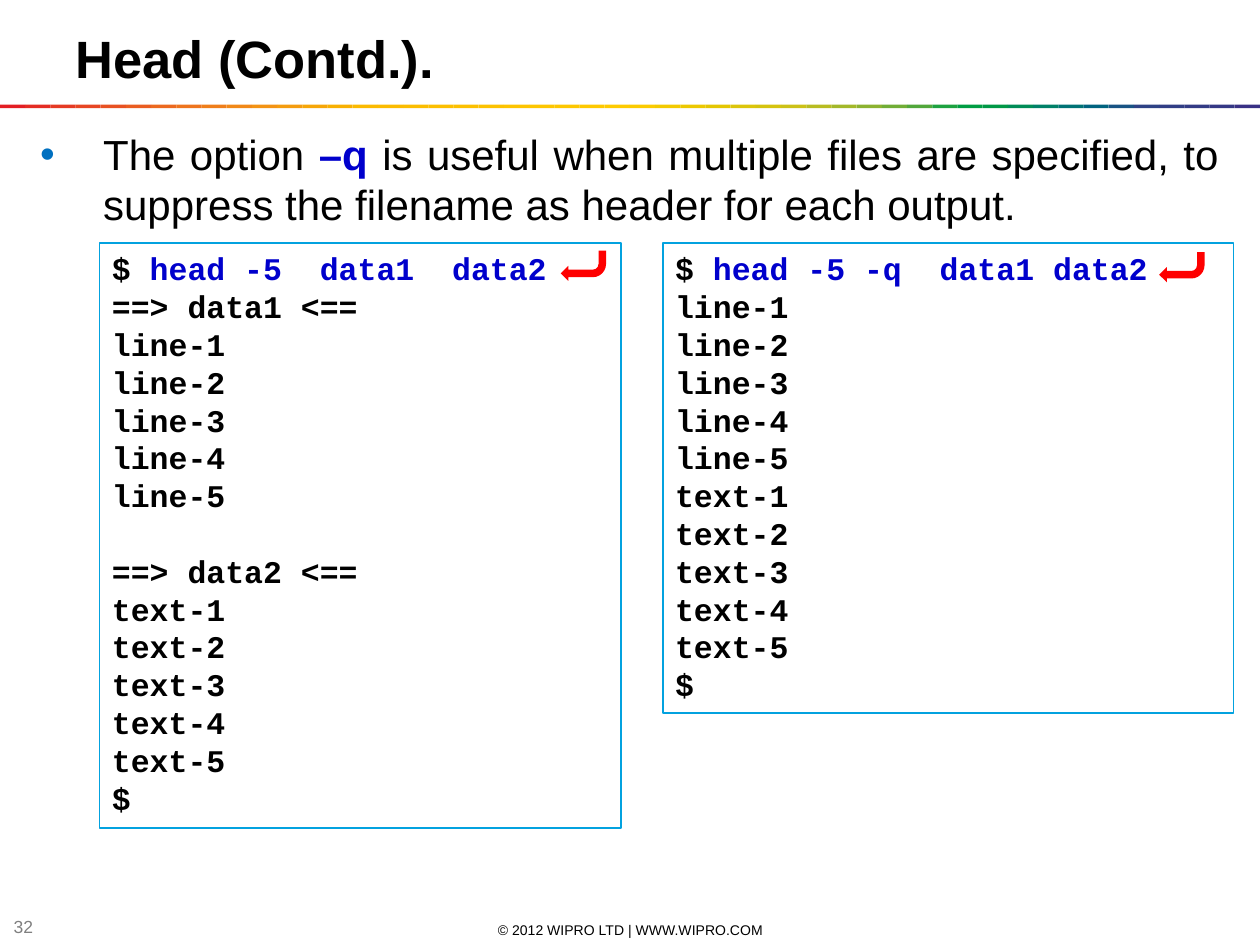
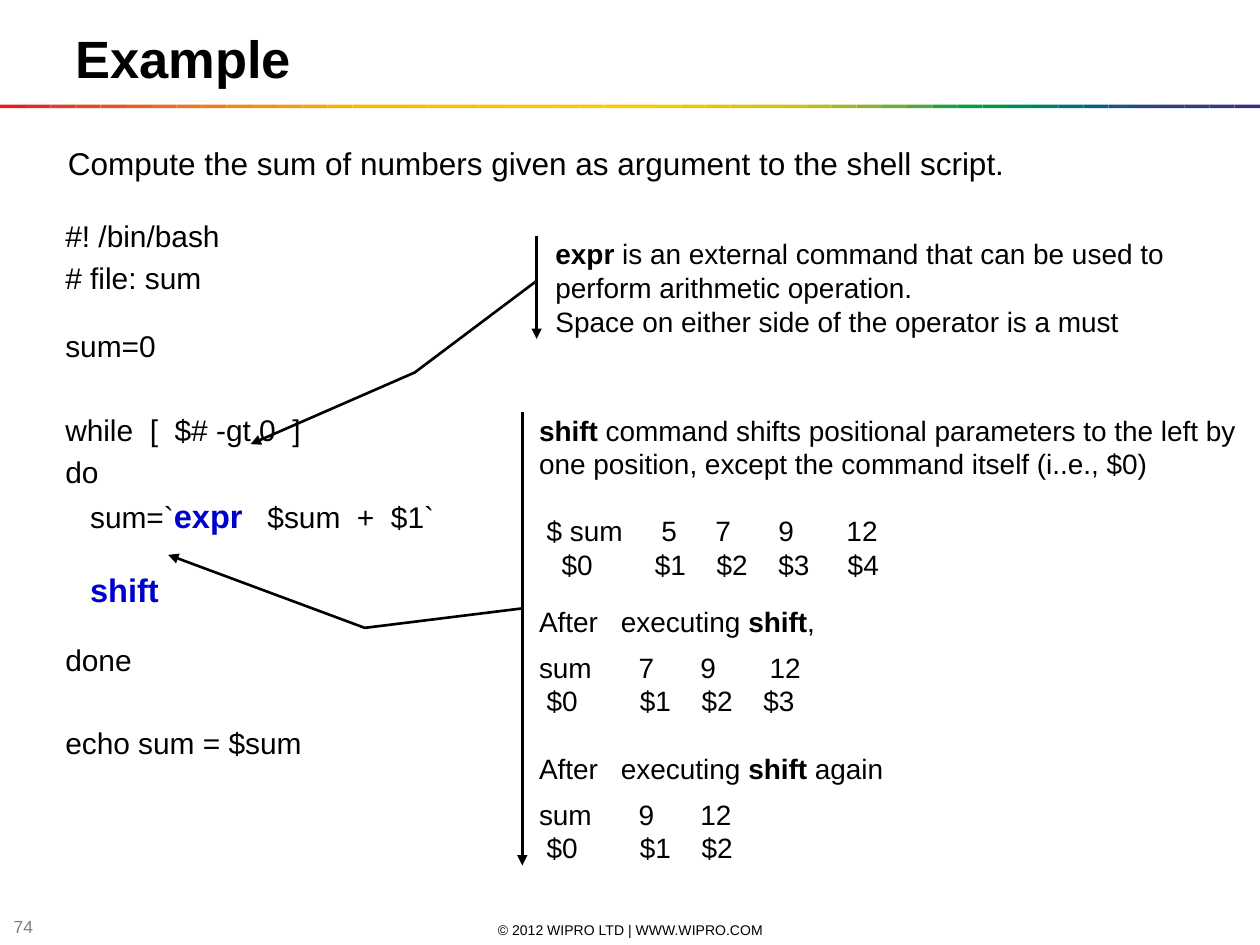
from lxml import etree
from pptx import Presentation
from pptx.dml.color import RGBColor
from pptx.enum.shapes import MSO_SHAPE
from pptx.enum.text import MSO_ANCHOR, PP_ALIGN
from pptx.oxml.ns import qn
from pptx.util import Inches, Pt

RECTANGLE, BENT_ARROW = MSO_SHAPE.RECTANGLE, MSO_SHAPE.BENT_ARROW
ACCENT_CALLOUT = MSO_SHAPE.LINE_CALLOUT_2_ACCENT_BAR
TOP, MIDDLE = MSO_ANCHOR.TOP, MSO_ANCHOR.MIDDLE
LEFT, CENTER, JUSTIFY = PP_ALIGN.LEFT, PP_ALIGN.CENTER, PP_ALIGN.JUSTIFY

# Shared look
COLORS = {"text": "000000", "key": "0000CC", "number": "808080", "bullet": "0070C0",
          "frame": "03A2DF", "arrow": "FE0000", "paper": "FFFFFF"}
BAND_COLORS = """
    E31E24 E42C24 E53A24 E74623 E85122 EA5D21 EC691F EE741D EF7E1A F18817
    F39314 F49C0F F6A607 F8B002 FBBA00 FBBB00 FBBD00 FCBF00 FCC000 FCC200
    FDC400 FDC600 FDC700 FEC900 FECB00 FBCB00 F3CA00 ECC800 E4C602 DCC50A
    D5C30E CCC117 B8BC21 A3B829 8CB230 71AD36 51A73B 1DA240 009D43 009846
    008C57 008068 007275 00637F 185384 2E4285 313E85 333B85 353885 393185
""".split()
RUN_STYLES = {
    "plain": {"color": "text", "bold": False},
    "bold": {"color": "text", "bold": True},
    "key": {"color": "key", "bold": True},
    "number": {"color": "number", "bold": False},
}
FOOTER = "© 2012 WIPRO LTD | WWW.WIPRO.COM"
LINE_FACTOR = 1.2

# Slide 1 content: a paragraph is (runs, format values), a run is (text, style)
HEAD_POINT = [(
    [("The option ", "plain"), ("–q ", "key"),
     ("is useful when multiple files are specified, to suppress the filename "
      "as header for each output.", "plain")],
    {"align": JUSTIFY, "bullet": "•", "indent": 0.5})]
LINES = [f"line-{number}" for number in range(1, 6)]
TEXTS = [f"text-{number}" for number in range(1, 6)]
TERMINALS = [
    {"left": 0.79, "width": 4.14, "arrow": (4.45, 1.99),
     "command": "head -5  data1  data2",
     "blocks": [["==> data1 <==", *LINES], ["==> data2 <==", *TEXTS, "$"]]},
    {"left": 5.26, "width": 4.53, "arrow": (9.2, 2.0),
     "command": "head -5 -q  data1 data2",
     "blocks": [[*LINES, *TEXTS, "$"]]},
]
TERMINAL_TOP, TERMINAL_SIZE, TERMINAL_LINE = 1.93, 18, 0.3027

# Slide 2 content
INTRO = "Compute the sum of numbers given as argument to the shell script."
STEP, HALF_GAP, GAP = 3.4, 18.5, 27.4
SCRIPT = [
    ("#! /bin/bash", {}),
    ("# file: sum", {"before": STEP}),
    ("sum=0", {"before": HALF_GAP}),
    ("while  [  $# -gt 0  ]", {"before": GAP}),
    ("do", {"before": STEP}),
    ([("   sum=`", "plain"), ("expr", "key", 18.6), ("   $sum  +  $1`", "plain")],
     {"before": STEP}),
    ([("   ", "plain"), ("shift", "key", 18.6)], {"before": 20}),
    ("done", {"before": HALF_GAP}),
    ("echo sum = $sum", {"before": GAP}),
]
AFTER_STOPS = [0.65]
VALUE_STOPS = [0.79, 1.28, 1.83]
NAME_STOPS = [0.06, 0.8, 1.29, 1.78]
CALLOUTS = [
    {"box": (4.31, 1.87, 5.69, 0.82),
     "pointer": [0.438, -0.009, 1.325, -0.179, 2.018, -0.408],
     "paragraphs": [
         ([("expr", "bold"), (" is an external command that can be used to "
                              "perform arithmetic operation.", "plain")], {}),
         ("Space on either side of the operator is a must", {})]},
    {"box": (4.18, 3.27, 5.76, 3.6),
     "pointer": [0.433, -0.006, 0.476, -0.223, 0.315, -0.494],
     "paragraphs": [
         ([("shift ", "bold"),
           ("command shifts positional parameters to the left by one position, "
            "except the command itself (i..e., $0)", "plain")], {}),
         ("\t$ sum\t5\t7\t9\t12",
          {"before": 19.2, "tabs": [0.06, 0.97, 1.4, 1.9, 2.44]}),
         ("\t$0\t$1\t$2\t$3\t$4", {"tabs": [0.18, 0.92, 1.41, 1.9, 2.45]}),
         ([("After\texecuting ", "plain"), ("shift", "bold"), (",", "plain")],
          {"before": 13.2, "tabs": AFTER_STOPS}),
         ("sum\t7\t9\t12", {"before": 7.2, "tabs": VALUE_STOPS}),
         ("\t$0\t$1\t$2\t$3", {"tabs": NAME_STOPS}),
         ([("After\texecuting ", "plain"), ("shift", "bold"), (" again", "plain")],
          {"before": 19.2, "tabs": AFTER_STOPS}),
         ("sum\t9\t12", {"before": 7.2, "tabs": VALUE_STOPS}),
         ("\t$0\t$1\t$2", {"tabs": NAME_STOPS})]},
]


def rgb(name):
    return RGBColor.from_string(COLORS.get(name, name))


def add_bullet(properties, character, indent):
    properties.set("marL", str(Inches(indent)))
    properties.set("indent", str(-Inches(indent)))
    color = etree.SubElement(properties, qn("a:buClr"))
    etree.SubElement(color, qn("a:srgbClr"), val=COLORS["bullet"])
    etree.SubElement(properties, qn("a:buFont"), typeface="Arial")
    etree.SubElement(properties, qn("a:buChar"), char=character)


def add_tabs(properties, stops):
    tab_list = etree.SubElement(properties, qn("a:tabLst"))
    for stop in stops:
        etree.SubElement(tab_list, qn("a:tab"), pos=str(Inches(stop)), algn="l")


def write(shape, paragraphs, size, font="Arial", anchor=TOP):
    frame = shape.text_frame
    frame.word_wrap = True
    frame.vertical_anchor = anchor
    for index, (runs, options) in enumerate(paragraphs):
        paragraph = frame.add_paragraph() if index else frame.paragraphs[0]
        properties = paragraph._p.get_or_add_pPr()
        if "bullet" in options:
            add_bullet(properties, options["bullet"], options["indent"])
        if "tabs" in options:
            add_tabs(properties, options["tabs"])
        if isinstance(runs, str):
            runs = [(runs, "plain")]
        largest = max([size] + [extra for _, _, *sizes in runs for extra in sizes])
        formats = {"alignment": options.get("align", LEFT),
                   "line_spacing": Pt(largest * LINE_FACTOR),
                   "space_before": Pt(options.get("before", 0))}
        for name, value in formats.items():
            setattr(paragraph, name, value)
        for text, style, *sizes in runs:
            run = paragraph.add_run()
            run.text = text
            run.font.color.rgb = rgb(RUN_STYLES[style]["color"])
            formats = {"name": font, "size": Pt(sizes[0] if sizes else size),
                       "bold": RUN_STYLES[style]["bold"]}
            for name, value in formats.items():
                setattr(run.font, name, value)


def add_text(slide, box, paragraphs, size, anchor=TOP):
    shape = slide.shapes.add_textbox(*map(Inches, box))
    write(shape, paragraphs, size, anchor=anchor)


def add_shape(shapes, kind, box, fill, line=None, width=1):
    shape = shapes.add_shape(kind, *map(Inches, box))
    shape.shadow.inherit = False
    shape.fill.solid()
    shape.fill.fore_color.rgb = rgb(fill)
    if line:
        shape.line.color.rgb = rgb(line)
        shape.line.width = Pt(width)
    else:
        shape.line.fill.background()
    return shape


def add_base_slide(presentation, title, number):
    """Blank slide with the footer, page number, colour band and title."""
    slide = presentation.slides.add_slide(presentation.slide_layouts[6])
    add_text(slide, (3.42, 7.3, 3.17, 0.16), [(FOOTER, {"align": CENTER})], 8, MIDDLE)
    add_text(slide, (0.01, 7.27, 0.39, 0.16), [([(number, "number")], {})], 10, MIDDLE)
    band = slide.shapes.add_group_shape()
    step = 10 / len(BAND_COLORS)
    for index, color in enumerate(BAND_COLORS):
        add_shape(band.shapes, RECTANGLE, (index * step, 0.83, step, 0.03), color)
    add_text(slide, (0.5, 0.16, 9, 0.61), [([(title, "bold")], {})], 30)
    return slide


def add_terminal(slide, terminal):
    paragraphs = [([("$ ", "bold"), (terminal["command"], "key")], {})]
    for block_index, block in enumerate(terminal["blocks"]):
        for line_index, line in enumerate(block):
            skip = block_index and not line_index
            before = TERMINAL_SIZE * LINE_FACTOR if skip else 0
            paragraphs.append(([(line, "bold")], {"before": before}))
    line_count = len(paragraphs) + len(terminal["blocks"]) - 1
    box = (terminal["left"], TERMINAL_TOP, terminal["width"],
           line_count * TERMINAL_LINE + 0.1)
    panel = add_shape(slide.shapes, RECTANGLE, box, "paper", "frame")
    write(panel, paragraphs, TERMINAL_SIZE, "Courier New")
    arrow = add_shape(slide.shapes, BENT_ARROW, (*terminal["arrow"], 0.36, 0.24), "arrow")
    arrow.rotation = 180


def add_callout(slide, callout):
    shape = add_shape(slide.shapes, ACCENT_CALLOUT, callout["box"], "paper", "text", 1.5)
    for index, value in enumerate(callout["pointer"]):
        shape.adjustments[index] = value
    etree.SubElement(shape.line._get_or_add_ln(), qn("a:tailEnd"), type="triangle")
    write(shape, callout["paragraphs"], 16, anchor=MIDDLE)


def main():
    presentation = Presentation()
    presentation.slide_width, presentation.slide_height = Inches(10), Inches(7.5)

    # Slide 1: two terminal sessions side by side
    slide = add_base_slide(presentation, "Head (Contd.).", "32")
    add_text(slide, (0.22, 0.97, 9.55, 0.94), HEAD_POINT, 24)
    for terminal in TERMINALS:
        add_terminal(slide, terminal)

    # Slide 2: script with explanatory callouts
    slide = add_base_slide(presentation, "Example", "74")
    add_text(slide, (0.42, 1.68, 3.91, 4.47), SCRIPT, 17.1)
    add_text(slide, (0.44, 1.09, 9.03, 0.4), [(INTRO, {})], 18)
    for callout in CALLOUTS:
        add_callout(slide, callout)

    presentation.save("out.pptx")


if __name__ == "__main__":
    main()
